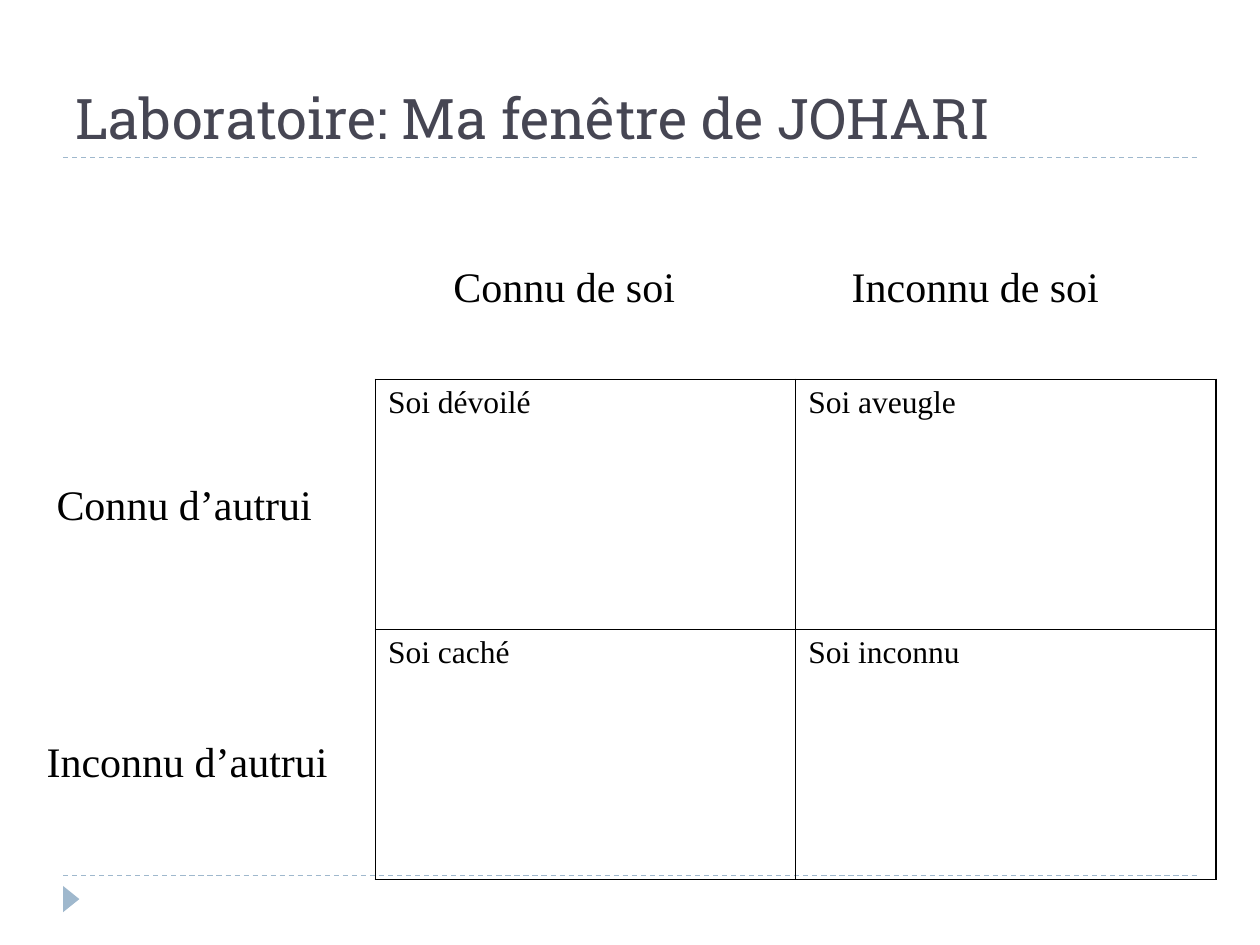
from lxml.etree import SubElement
from pptx import Presentation
from pptx.dml.color import RGBColor
from pptx.enum.dml import MSO_LINE
from pptx.enum.shapes import MSO_CONNECTOR, MSO_SHAPE
from pptx.enum.text import MSO_ANCHOR, MSO_AUTO_SIZE
from pptx.oxml.ns import qn
from pptx.util import Cm, Pt

BLACK = "000000"
ACCENT = "9FB8CD"
TITLE_COLOR = "464653"
BODY_FONT = "Times New Roman"
OUTER, INNER = 1.08, 0.45


def rgb(value):
    return RGBColor.from_string(value)


def write(frame, text, size=24, font=BODY_FONT, color=BLACK):
    frame.text = text
    run_font = frame.paragraphs[0].runs[0].font
    run_font.size = Pt(size)
    run_font.name = font
    run_font.color.rgb = rgb(color)


def cell_border(cell, side, width):
    """Draw one side (L, R, T or B) of a cell."""
    properties = cell._tc.get_or_add_tcPr()
    edge = SubElement(properties, qn(f"a:ln{side}"), w=str(Pt(width)))
    fill = SubElement(edge, qn("a:solidFill"))
    SubElement(fill, qn("a:srgbClr"), val=BLACK)


class SlideBuilder:
    def __init__(self, slide):
        self.slide = slide
        self.shapes = slide.shapes

    def rule(self, y):
        line = self.shapes.add_connector(
            MSO_CONNECTOR.STRAIGHT, Cm(1.27), Cm(y), Cm(24.13), Cm(y))
        line.line.color.rgb = rgb(ACCENT)
        line.line.width = Pt(0.75)
        line.line.dash_style = MSO_LINE.DASH
        SubElement(line._element.spPr, qn("a:effectLst"))

    def marker(self, left, top, width, height):
        triangle = self.shapes.add_shape(
            MSO_SHAPE.ISOSCELES_TRIANGLE, Cm(left), Cm(top), Cm(width), Cm(height))
        triangle.rotation = 90
        triangle.shadow.inherit = False
        triangle.fill.solid()
        triangle.fill.fore_color.rgb = rgb(ACCENT)
        triangle.line.fill.background()

    def text(self, text, left, top, width, height, wrap=True, grow=True,
             anchor=MSO_ANCHOR.TOP, **style):
        frame = self.shapes.add_textbox(
            Cm(left), Cm(top), Cm(width), Cm(height)).text_frame
        frame.word_wrap = wrap
        frame.auto_size = MSO_AUTO_SIZE.SHAPE_TO_FIT_TEXT if grow else MSO_AUTO_SIZE.NONE
        frame.vertical_anchor = anchor
        write(frame, text, **style)

    def window(self, rows, left, top, column_width, row_height):
        """Draw an unfilled table with a heavier outer border."""
        row_count, column_count = len(rows), len(rows[0])
        table = self.shapes.add_table(
            row_count, column_count, Cm(left), Cm(top),
            Cm(column_width * column_count), Cm(row_height * row_count)).table
        table.first_row = False
        table.horz_banding = False
        for column in table.columns:
            column.width = Cm(column_width)
        for r, labels in enumerate(rows):
            table.rows[r].height = Cm(row_height)
            for c, label in enumerate(labels):
                cell = table.cell(r, c)
                on_edge = {"L": c == 0, "R": c == column_count - 1,
                           "T": r == 0, "B": r == row_count - 1}
                for side, outer in on_edge.items():
                    cell_border(cell, side, OUTER if outer else INNER)
                cell.fill.background()
                write(cell.text_frame, label, size=18)


def main():
    presentation = Presentation()
    presentation.slide_width, presentation.slide_height = Cm(25.4), Cm(19.05)
    page = SlideBuilder(presentation.slides.add_slide(presentation.slide_layouts[6]))

    for y in (17.65, 3.17):
        page.rule(y)
    page.marker(1.17, 17.96, 0.53, 0.33)
    page.text("Laboratoire: Ma fenêtre de JOHARI", 1.27, 0.43, 22.86, 2.74,
              grow=False, anchor=MSO_ANCHOR.BOTTOM,
              size=32, font="Roboto Slab", color=TITLE_COLOR)
    page.window([["Soi dévoilé", "Soi aveugle"], ["Soi caché", "Soi inconnu"]],
                7.57, 7.65, 8.47, 5.04)

    page.text("Connu d’autrui", 0.89, 9.53, 6.2, 1.27)
    page.text("Inconnu d’autrui", 0.69, 14.71, 6.6, 1.27)
    page.text("Connu de soi", 8.89, 5.13, 4.98, 1.27, wrap=False)
    page.text("Inconnu de soi", 16.92, 5.13, 5.49, 1.27, wrap=False)

    presentation.save("out.pptx")


if __name__ == "__main__":
    main()
